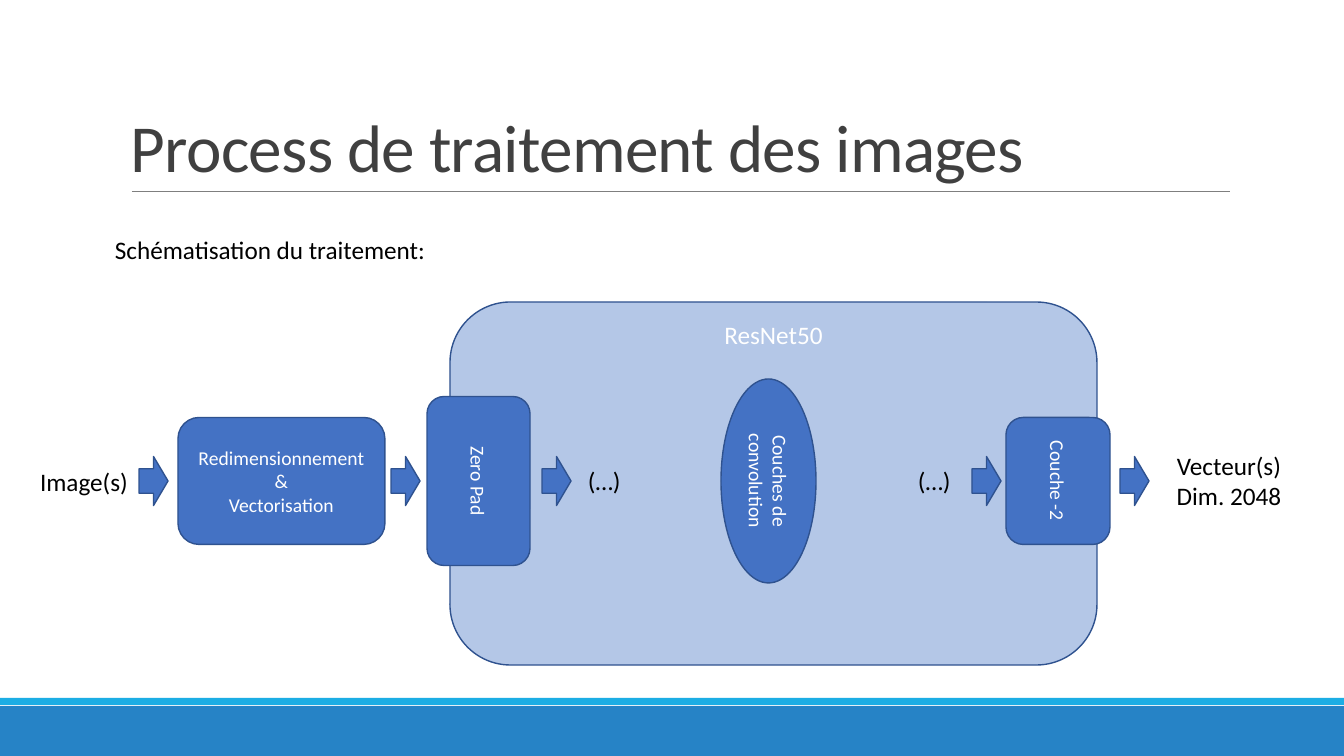
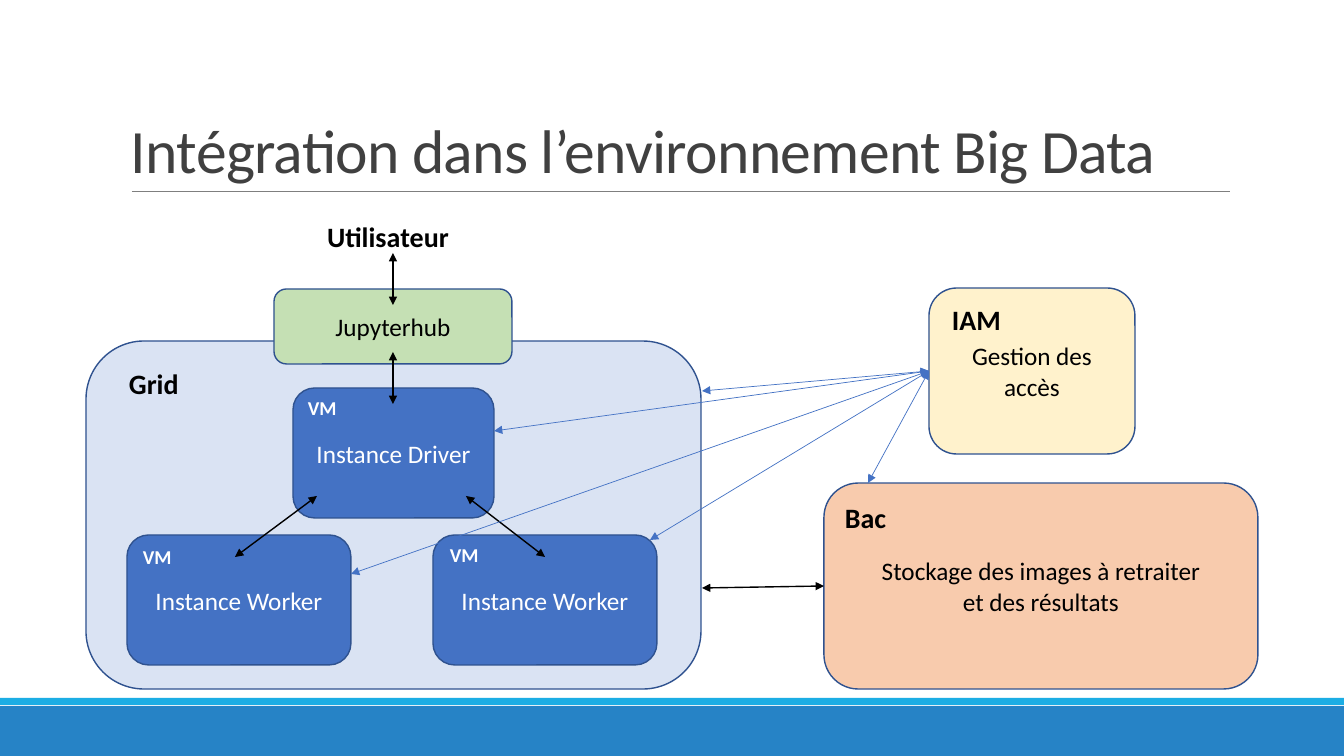
from lxml import etree
from pptx import Presentation
from pptx.dml.color import RGBColor
from pptx.enum.shapes import MSO_CONNECTOR, MSO_SHAPE
from pptx.enum.text import MSO_ANCHOR, PP_ALIGN
from pptx.oxml.ns import qn
from pptx.util import Emu, Pt

SLIDE_WIDTH, SLIDE_HEIGHT = 1344, 756
EMU_PER_PX = 12192000 / SLIDE_WIDTH
FONT = "Calibri"
COLORS = {
    "footer": "2683C6",
    "footer_edge": "1CADE4",
    "rule": "7F7F7F",
    "title": "404040",
    "black": "000000",
    "white": "FFFFFF",
    "blue": "4472C4",
    "outline": "2F528F",
    "blue_mid": "B4C7E7",
    "blue_pale": "DAE3F3",
    "green": "C5E0B4",
    "orange": "F8CBAD",
    "yellow": "FFF2CC",
}
RECTANGLE = MSO_SHAPE.RECTANGLE
ROUNDED = MSO_SHAPE.ROUNDED_RECTANGLE
OVAL = MSO_SHAPE.OVAL
ARROW = MSO_SHAPE.RIGHT_ARROW
STRAIGHT = MSO_CONNECTOR.STRAIGHT
LEFT, CENTER = PP_ALIGN.LEFT, PP_ALIGN.CENTER
TOP, MIDDLE, BOTTOM = MSO_ANCHOR.TOP, MSO_ANCHOR.MIDDLE, MSO_ANCHOR.BOTTOM


def px(length):
    return Emu(round(length * EMU_PER_PX))


def color(name):
    return RGBColor.from_string(COLORS[name])


def write(shape, text, size, color_name, align, anchor, bold=False):
    """Fill the shape with text, one paragraph per line."""
    frame = shape.text_frame
    frame.word_wrap = True
    frame.vertical_anchor = anchor
    for index, line in enumerate(text.split("\n")):
        paragraph = frame.add_paragraph() if index else frame.paragraphs[0]
        paragraph.alignment = align
        run = paragraph.add_run()
        run.text = line
        run.font.name = FONT
        run.font.size = Pt(size)
        run.font.bold = bold
        run.font.color.rgb = color(color_name)
    return frame


def add_label(slide, box, text, size=18, color_name="black", align=LEFT, anchor=TOP, bold=False):
    shape = slide.shapes.add_textbox(*map(px, box))
    return write(shape, text, size, color_name, align, anchor, bold)


def add_block(slide, kind, box, fill="blue", outline="outline", turned=False):
    """Add a filled shape; a turned one is rotated a quarter and still covers box."""
    left, top, width, height = box
    if turned:
        left, top = left + (width - height) / 2, top + (height - width) / 2
        width, height = height, width
    shape = slide.shapes.add_shape(kind, px(left), px(top), px(width), px(height))
    shape.rotation = 90 if turned else 0
    shape.shadow.inherit = False
    shape.fill.solid()
    shape.fill.fore_color.rgb = color(fill)
    if outline:
        shape.line.color.rgb = color(outline)
        shape.line.width = Pt(1)
    else:
        shape.line.fill.background()
    return shape


def add_text_block(slide, kind, box, text, size=18, fill="blue", color_name="white",
                   anchor=MIDDLE, turned=False):
    shape = add_block(slide, kind, box, fill, turned=turned)
    return write(shape, text, size, color_name, CENTER, anchor)


def add_line(slide, start, end, color_name, width, arrows=True):
    line = slide.shapes.add_connector(STRAIGHT, *map(px, start + end))
    line.line.color.rgb = color(color_name)
    line.line.width = Pt(width)
    if arrows:
        outline = line.line._get_or_add_ln()
        for tag in ("a:headEnd", "a:tailEnd"):
            etree.SubElement(outline, qn(tag)).set("type", "triangle")
    etree.SubElement(line._element.spPr, qn("a:effectLst"))


def add_titled_slide(presentation, title, size):
    slide = presentation.slides.add_slide(presentation.slide_layouts[6])
    add_block(slide, RECTANGLE, (0, 706, SLIDE_WIDTH, 50), "footer", None)
    add_block(slide, RECTANGLE, (0, 698, SLIDE_WIDTH, 7), "footer_edge", None)
    add_line(slide, (132, 191), (1230, 191), "rule", 0.5, arrows=False)
    frame = add_label(slide, (121, 31, 1109, 160), title, size, "title", anchor=BOTTOM)
    paragraph = frame.paragraphs[0]
    paragraph.line_spacing = 0.85
    paragraph.runs[0].font._element.set("spc", "-50")
    return slide


def build_process(presentation):
    slide = add_titled_slide(presentation, "Process de traitement des images", 48)
    axis = 481

    def on_axis(left, width, height):
        return left, axis - height / 2, width, height

    frame = add_text_block(slide, ROUNDED, (450, 302, 647, 363), "ResNet50",
                           fill="blue_mid", anchor=TOP)
    frame.margin_top = 0
    steps = [
        (ROUNDED, 178, 207, 127, "Redimensionnement\n&\nVectorisation", False),
        (ROUNDED, 427, 103, 169, "Zero Pad", True),
        (OVAL, 721, 95, 204, "Couches de convolution", True),
        (ROUNDED, 1006, 104, 127, "Couche -2", True),
    ]
    for kind, left, width, height, text, turned in steps:
        add_text_block(slide, kind, on_axis(left, width, height), text, 14, turned=turned)
    for left in (139, 391, 542, 972, 1120):
        add_block(slide, ARROW, on_axis(left, 29, 49))
    add_label(slide, on_axis(24, 120, 40), "Image(s)", align=CENTER)
    add_label(slide, on_axis(1159, 140, 71), "Vecteur(s)\nDim. 2048", align=CENTER)
    for left in (578, 908):
        add_label(slide, on_axis(left, 64, 41), "(…)")
    add_label(slide, (105, 229, 858, 40), "Schématisation du traitement:")


def build_environment(presentation):
    slide = add_titled_slide(presentation, "Intégration dans l’environnement Big Data", 44)
    add_block(slide, ROUNDED, (86, 341, 615, 348), "blue_pale")
    instances = [
        ((127, 535, 224, 130), "Instance Worker", (133, 540)),
        ((293, 388, 201, 130), "Instance Driver", (298, 391)),
        ((433, 535, 224, 130), "Instance Worker", (440, 538)),
    ]
    for box, text, tag_corner in instances:
        add_text_block(slide, ROUNDED, box, text)
        add_label(slide, tag_corner + (60, 34), "VM", 14, "white", bold=True)
    services = [
        ((824, 483, 434, 206), "Stockage des images à retraiter\net des résultats", "orange"),
        ((274, 289, 238, 75), "Jupyterhub", "green"),
        ((929, 288, 206, 166), "Gestion des accès", "yellow"),
    ]
    for box, text, fill in services:
        add_text_block(slide, ROUNDED, box, text, fill=fill, color_name="black")
    for left, top, text in ((119, 362, "Grid"), (835, 496, "Bac"), (942, 298, "IAM")):
        add_label(slide, (left, top, 86, 44), text, 20, bold=True)
    add_label(slide, (293, 215, 190, 44), "Utilisateur", 20, align=CENTER, bold=True)

    exchanges = [
        ((235, 557), (317, 496)),
        ((545, 557), (466, 496)),
        ((824, 586), (702, 588)),
        ((393, 404), (393, 352)),
        ((393, 305), (393, 253)),
    ]
    for start, end in exchanges:
        add_line(slide, start, end, "black", 1)
    access_point = (929, 371)
    for end in ((868, 483), (702, 391), (494, 431), (351, 574), (650, 540)):
        add_line(slide, access_point, end, "blue", 0.5)


def main():
    presentation = Presentation()
    presentation.slide_width = px(SLIDE_WIDTH)
    presentation.slide_height = px(SLIDE_HEIGHT)
    build_process(presentation)
    build_environment(presentation)
    presentation.save("out.pptx")


if __name__ == "__main__":
    main()
